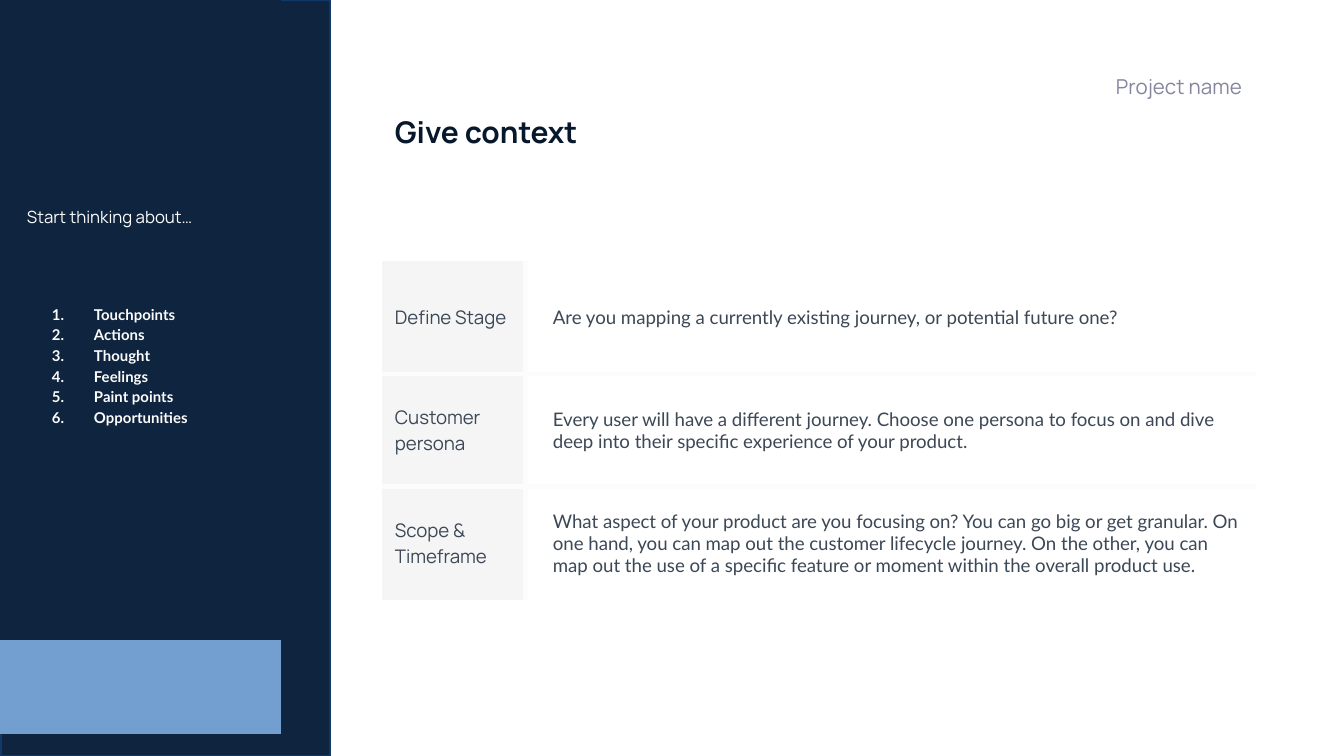
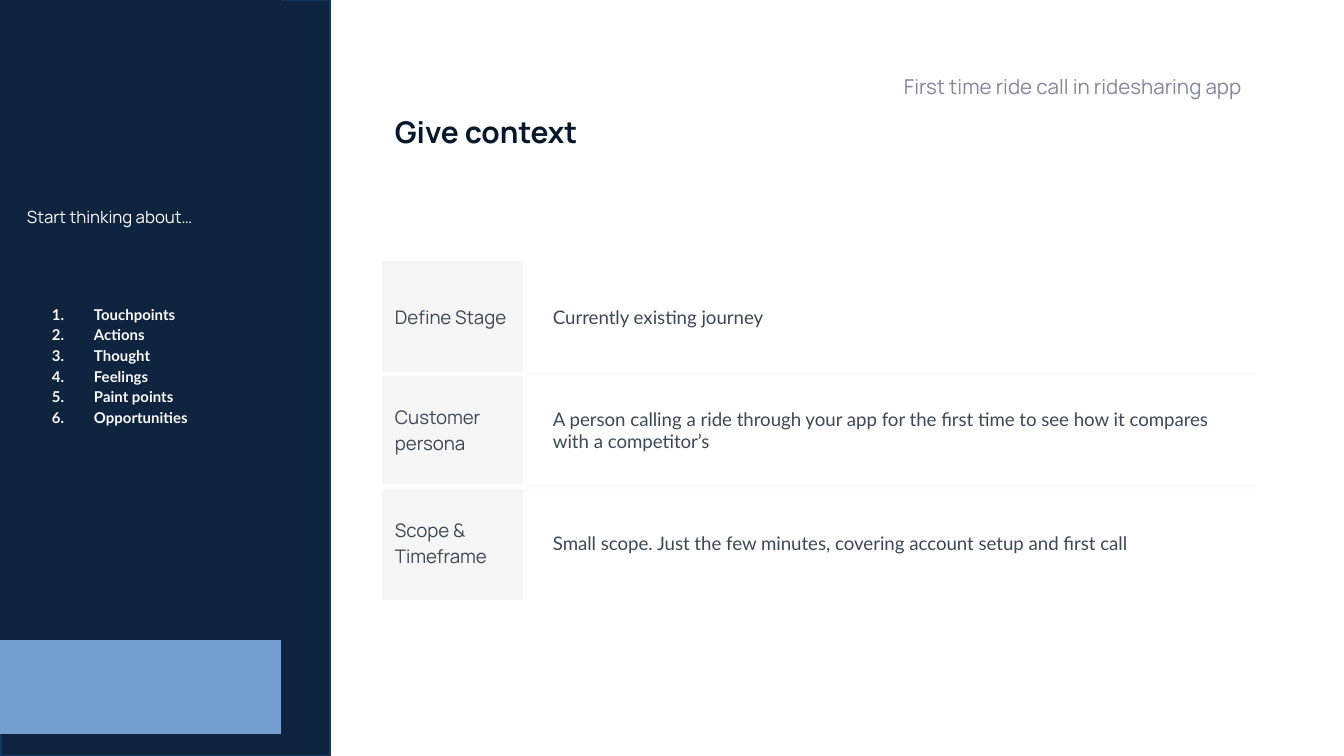
import pptx
import pptx.dml.color
import pptx.enum.shapes
import pptx.enum.text
import pptx.oxml
import pptx.oxml.ns
import pptx.util
from dataclasses import dataclass

SCALE = 914400 / 134.4
PLAIN_TABLE = "{2D5ABB26-0587-4C30-8999-92F81FD0307C}"
ANCHOR = pptx.enum.text.MSO_ANCHOR
ALIGN = pptx.enum.text.PP_ALIGN


@dataclass(frozen=True)
class Theme:
    navy: str = "0F243E"
    navy_edge: str = "103869"
    sky: str = "729FCF"
    title: str = "07182C"
    project: str = "85859F"
    body: str = "3C4856"
    label_fill: str = "F5F5F5"
    pale: str = "FCFCFC"
    heading_font: str = "Manrope"
    body_font: str = "Lato"
    title_size: int = 16
    project_size: int = 11
    body_size: int = 10
    prompt_size: int = 9
    list_size: int = 8
    rule_width: int = 3


THEME = Theme()
PAGE = (0, 0, 1344, 756)
TOPICS = ["Touchpoints", "Actions", "Thought", "Feelings", "Paint points", "Opportunities"]
LABELS = ["Define Stage", "Customer persona", "Scope & Timeframe"]
CONTEXTS = [
    ("Project name", [
        "Are you mapping a currently existing journey, or potential future one?",
        "Every user will have a different journey. Choose one persona to focus on and dive deep "
        "into their specific experience of your product.",
        "What aspect of your product are you focusing on? You can go big or get granular. On one "
        "hand, you can map out the customer lifecycle journey. On the other, you can map out the "
        "use of a specific feature or moment within the overall product use.",
    ]),
    ("First time ride call in ridesharing app", [
        "Currently existing journey",
        "A person calling a ride through your app for the first time to see how it compares "
        "with a competitor’s",
        "Small scope. Just the few minutes, covering account setup and first call",
    ]),
]


def px(length):
    return pptx.util.Emu(round(length * SCALE))


def color(value):
    return pptx.dml.color.RGBColor.from_string(value)


def paint(target, value):
    target.fill.solid()
    target.fill.fore_color.rgb = color(value)


def set_margins(target, left, top, right, bottom):
    target.margin_left, target.margin_top = px(left), px(top)
    target.margin_right, target.margin_bottom = px(right), px(bottom)


def style(para, font, size, value, bold=False):
    para.font.name = font
    para.font.size = pptx.util.Pt(size)
    para.font.bold = bold
    para.font.color.rgb = color(value)


def add_heading(page, box, text, size, value, bold=False, anchor=ANCHOR.TOP,
                align=ALIGN.LEFT, bottom=13):
    frame = page.shapes.add_textbox(*map(px, box)).text_frame
    frame.word_wrap = True
    frame.vertical_anchor = anchor
    set_margins(frame, 13, 13, 13, bottom)
    para = frame.paragraphs[0]
    para.text = text
    para.alignment = align
    style(para, THEME.heading_font, size, value, bold)


def add_plain_table(page, left, top, columns, rows):
    frame = page.shapes.add_table(len(rows), len(columns), px(left), px(top),
                                  px(sum(columns)), px(sum(rows)))
    table = frame.table
    table.first_row = table.horz_banding = False
    table._tbl.tblPr.find(pptx.oxml.ns.qn("a:tableStyleId")).text = PLAIN_TABLE
    for column, width in zip(table.columns, columns):
        column.width = px(width)
    for row, height in zip(table.rows, rows):
        row.height = px(height)
    return table


def add_borders(cell, sides):
    properties = cell._tc.get_or_add_tcPr()
    width = pptx.util.Pt(THEME.rule_width)
    for position, side in enumerate(sides):
        properties.insert(position, pptx.oxml.parse_xml(
            f'<a:ln{side} {pptx.oxml.ns.nsdecls("a")} w="{width}"><a:solidFill>'
            f'<a:srgbClr val="{THEME.pale}"/></a:solidFill></a:ln{side}>'))


def number(para):
    properties = para._p.get_or_add_pPr()
    properties.set("marL", str(px(67)))
    properties.set("indent", str(px(-42)))
    declaration = pptx.oxml.ns.nsdecls("a")
    for markup in (f'<a:buClr {declaration}><a:srgbClr val="{THEME.pale}"/></a:buClr>',
                   f'<a:buAutoNum {declaration} type="arabicPeriod"/>'):
        properties.append(pptx.oxml.parse_xml(markup))


def add_sidebar(page, box):
    left, top, width, height = box
    panel = page.shapes.add_shape(pptx.enum.shapes.MSO_SHAPE.RECTANGLE, *map(px, box))
    panel.shadow.inherit = False
    paint(panel, THEME.navy)
    panel.line.color.rgb = color(THEME.navy_edge)
    panel.line.width = pptx.util.Pt(0.75)

    table = add_plain_table(page, left - 1, top, [87, 85, 109], [145, 145, 148, 148, 54, 94])
    for cell in table.iter_cells():
        paint(cell, THEME.navy)
        set_margins(cell, 0, 0, 0, 0)
    for first, last in ((0, 0), (1, 1), (2, 4), (5, 5)):
        table.cell(first, 0).merge(table.cell(last, 2))
    paint(table.cell(5, 0), THEME.sky)

    prompt = table.cell(1, 0)
    topics = table.cell(2, 0)
    for cell in (prompt, topics):
        set_margins(cell, 27, 13, 27, 13)
    prompt.vertical_anchor = ANCHOR.MIDDLE
    prompt.text = "Start thinking about…"
    style(prompt.text_frame.paragraphs[0], THEME.heading_font, THEME.prompt_size, THEME.pale)
    topics.text = "\n".join(TOPICS)
    for para in topics.text_frame.paragraphs:
        para.line_spacing = 1.15
        number(para)
        style(para, THEME.body_font, THEME.list_size, THEME.pale, True)


def add_context_table(page, box, answers):
    left, top, width, height = box
    label_width = 144
    table = add_plain_table(page, left, top, [label_width, width - label_width],
                            [height / len(LABELS)] * len(LABELS))
    for index, texts in enumerate(zip(LABELS, answers)):
        rules = ("T" if index else "") + ("B" if index < len(LABELS) - 1 else "")
        looks = ((THEME.heading_font, 13, "R"), (THEME.body_font, 27, "L"))
        for column, (text, (font, inset, side)) in enumerate(zip(texts, looks)):
            cell = table.cell(index, column)
            cell.text = text
            cell.vertical_anchor = ANCHOR.MIDDLE
            set_margins(cell, inset, 13, 13, 13)
            style(cell.text_frame.paragraphs[0], font, THEME.body_size, THEME.body)
            if column:
                cell.fill.background()
            else:
                paint(cell, THEME.label_fill)
            add_borders(cell, side + rules)


def build_context_page(page, box, project, answers):
    left, top, width, height = box
    add_heading(page, (left + 382, top + 101, 855, 63), "Give context",
                THEME.title_size, THEME.title, bold=True)
    add_heading(page, (left + 672, top + 62, 583, 44), project, THEME.project_size,
                THEME.project, anchor=ANCHOR.BOTTOM, align=ALIGN.RIGHT, bottom=7)
    add_sidebar(page, (left + 1, top, 329, height))
    add_context_table(page, (left + 382, top + 261, 874, 339), answers)


def main():
    deck = pptx.Presentation()
    deck.slide_width, deck.slide_height = px(PAGE[2]), px(PAGE[3])
    for project, answers in CONTEXTS:
        page = deck.slides.add_slide(deck.slide_layouts[6])
        build_context_page(page, PAGE, project, answers)
    deck.save("out.pptx")


if __name__ == "__main__":
    main()
